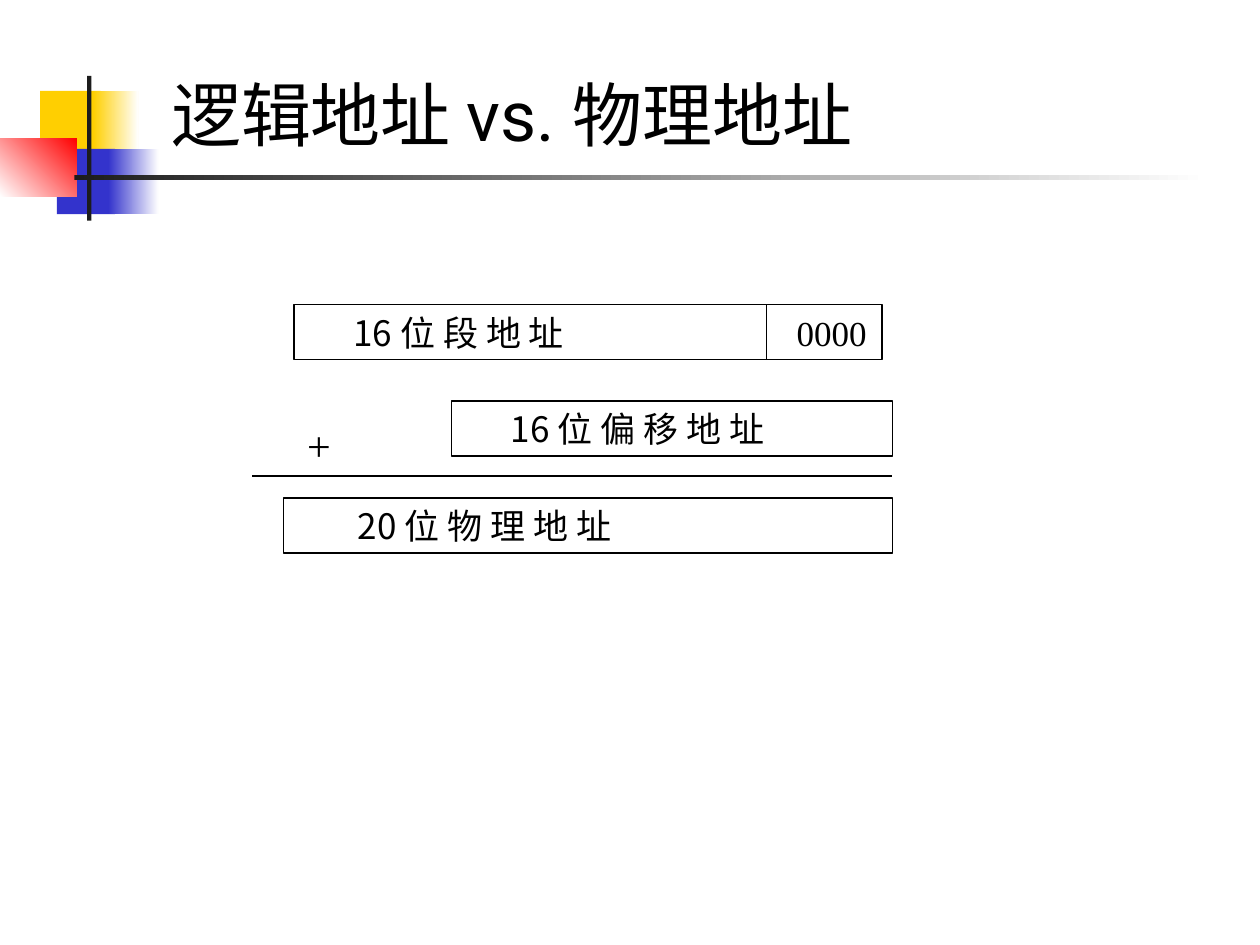
from pptx import Presentation
from pptx.dml.color import RGBColor
from pptx.enum.shapes import MSO_CONNECTOR, MSO_SHAPE
from pptx.enum.text import MSO_ANCHOR, PP_ALIGN
from pptx.oxml.ns import qn
from pptx.util import Pt
from lxml.etree import SubElement


def color(value):
    return RGBColor.from_string(value)


def write_text(shape, text, font="Noto Sans CJK SC", size=20, ink="000000",
               indent=7.2, anchor=MSO_ANCHOR.MIDDLE, wrap=True):
    frame = shape.text_frame
    frame.word_wrap = wrap
    frame.vertical_anchor = anchor
    frame.margin_left, frame.margin_right = Pt(indent), Pt(7.2)
    frame.margin_top = frame.margin_bottom = 0
    paragraph = frame.paragraphs[0]
    paragraph.alignment = PP_ALIGN.LEFT
    run = paragraph.add_run()
    run.text = text
    run.font.name = font
    run.font.size = Pt(size)
    run.font.color.rgb = color(ink)
    SubElement(run.font._element, qn("a:ea"), typeface="Noto Sans CJK SC")


class SlideBuilder:
    ink = "000000"
    paper = "FFFFFF"
    line_width = 1

    def __init__(self, slide):
        self.slide = slide

    def rectangle(self, left, top, width, height):
        shape = self.slide.shapes.add_shape(
            MSO_SHAPE.RECTANGLE, Pt(left), Pt(top), Pt(width), Pt(height))
        shape.shadow.inherit = False
        return shape

    def block(self, bounds, fill, fade_angle=None):
        shape = self.rectangle(*bounds)
        shape.line.fill.background()
        if fade_angle is None:
            shape.fill.solid()
            shape.fill.fore_color.rgb = color(fill)
            return
        shape.fill.gradient()
        shape.fill.gradient_angle = fade_angle
        for stop, value, position in zip(
                shape.fill.gradient_stops, (fill, self.paper), (0, 1)):
            stop.color.rgb = color(value)
            stop.position = position

    def register(self, bounds, text, **style):
        shape = self.rectangle(*bounds)
        shape.fill.background()
        shape.line.color.rgb = color(self.ink)
        shape.line.width = Pt(self.line_width)
        write_text(shape, text, **style)

    def label(self, bounds, text, **style):
        shape = self.slide.shapes.add_textbox(*map(Pt, bounds))
        write_text(shape, text, **style)

    def rule(self, left, right, y):
        connector = self.slide.shapes.add_connector(
            MSO_CONNECTOR.STRAIGHT, Pt(left), Pt(y), Pt(right), Pt(y))
        connector.line.color.rgb = color(self.ink)
        connector.line.width = Pt(self.line_width)
        SubElement(connector._element.spPr, qn("a:effectLst"))


def main():
    presentation = Presentation()
    presentation.slide_width, presentation.slide_height = Pt(720), Pt(540)
    slide = presentation.slides.add_slide(presentation.slide_layouts[6])
    builder = SlideBuilder(slide)

    yellow, blue, red, charcoal = "FFCF01", "3333CC", "FF0000", "1C1C1C"
    builder.block((23, 52, 34.5, 37.4), yellow)
    builder.block((53.3, 52, 25.9, 37.4), yellow, fade_angle=0)
    builder.block((32.6, 85, 33.1, 37.4), blue)
    builder.block((61.9, 85, 28.8, 37.4), blue, fade_angle=0)
    builder.block((0, 79, 44, 33.2), red, fade_angle=225)
    builder.block((49.8, 43.3, 2.4, 82.8), charcoal)
    builder.block((42.5, 100.3, 648, 2.5), charcoal, fade_angle=0)

    builder.label((90.7, 16.6, 613.4, 72), "逻辑地址 vs. 物理地址",
                  font="Roboto", size=40, anchor=MSO_ANCHOR.BOTTOM)

    height, right = 31.5, 510
    segment_top, offset_top, physical_top = (174 + 55.2 * row for row in range(3))
    builder.register((168, segment_top, 270, height), "16 位 段 地 址", indent=34)
    builder.register((438, segment_top, 66, height), "0000",
                     font="Times New Roman", indent=17.2)
    builder.register((258, offset_top, right - 258, height),
                     "16 位 偏 移 地 址", indent=34)
    builder.label((168.5, 236.2, 28, 36), "+",
                  font="Times New Roman", size=24, wrap=False)
    builder.rule(144, right, 272.2)
    builder.register((162, physical_top, right - 162, height),
                     "20 位 物 理 地 址", indent=42.5)

    presentation.save("out.pptx")


if __name__ == "__main__":
    main()
